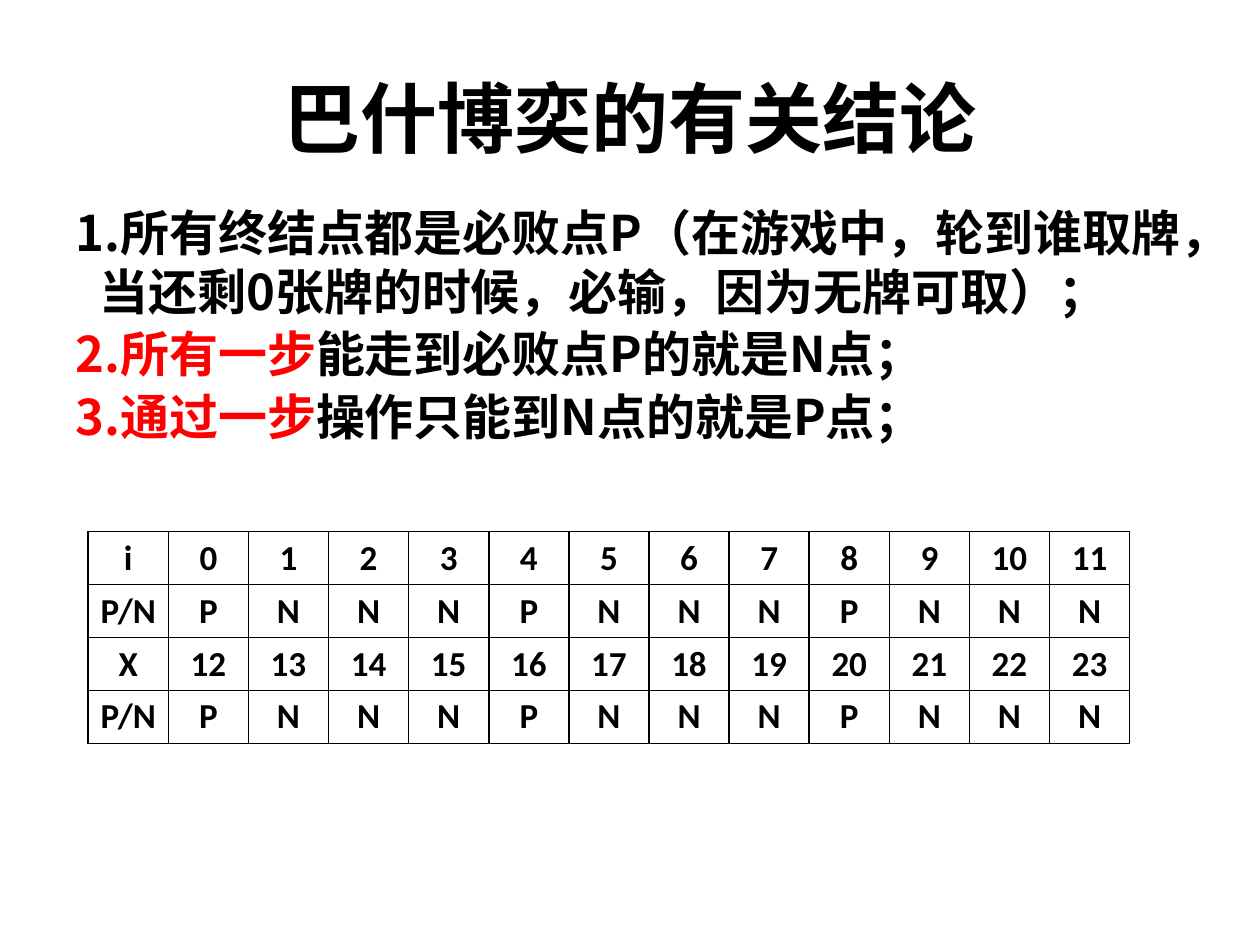
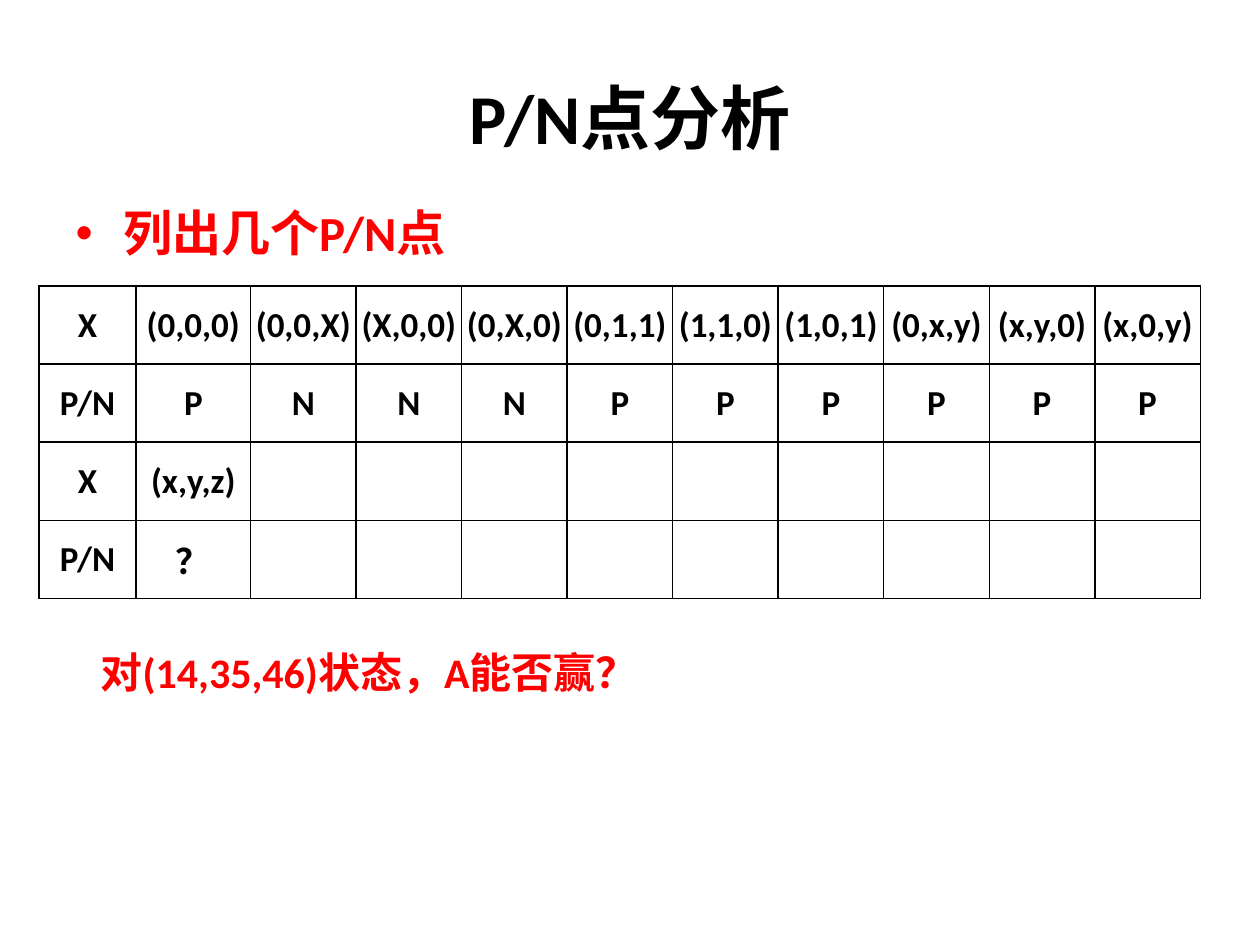
from dataclasses import dataclass
from lxml.etree import SubElement
from pptx import Presentation
from pptx.dml.color import RGBColor as RGB
from pptx.enum.text import MSO_ANCHOR as Anchor, MSO_AUTO_SIZE as Fit, PP_ALIGN as Align
from pptx.oxml import parse_xml
from pptx.oxml.ns import nsdecls, qn
from pptx.util import Inches, Pt


@dataclass(frozen=True)
class Theme:
    """Colours, fonts and type sizes of the deck."""
    ink: RGB = RGB(0, 0, 0)
    red: RGB = RGB(255, 0, 0)
    paper: RGB = RGB(255, 255, 255)
    latin: str = "Calibri"
    han: str = "Noto Sans CJK SC"
    list_size: int = 28
    cell_size: int = 20
    note_size: int = 24


theme = Theme()


def write(par, parts, size, face=theme.latin):
    """Fill a paragraph with bold (text, colour) parts."""
    font = par.font
    font.name, font.size, font.bold = face, Pt(size), True
    font.color.rgb = parts[0][1]
    for text, color in parts:
        run = par.add_run()
        run.text = text
        run.font.color.rgb = color


def add_grid(slide, rows, left, top, widths, height, side):
    """Add a plain table with thin black borders and centred text."""
    frame = slide.shapes.add_table(len(rows), len(widths), Inches(left), Inches(top),
                                   Inches(sum(widths)), Inches(height * len(rows)))
    table = frame.table
    table.first_row = table.horz_banding = False
    for col, width in zip(table.columns, widths):
        col.width = Inches(width)
    for line, texts in zip(table.rows, rows):
        line.height = Inches(height)
        for col, cell in enumerate(line.cells):
            cell.fill.background()
            cell.vertical_anchor = Anchor.MIDDLE
            cell.margin_left = cell.margin_right = Inches(side)
            cell.margin_top = cell.margin_bottom = Inches(0.04)
            props = cell._tc.get_or_add_tcPr()
            for spot, edge in enumerate("LRTB"):
                props.insert(spot, parse_xml(
                    f'<a:ln{edge} {nsdecls("a")} w="12700"><a:solidFill>'
                    f'<a:srgbClr val="{theme.ink}"/></a:solidFill></a:ln{edge}>'))
            if col < len(texts):
                par = cell.text_frame.paragraphs[0]
                par.alignment = Align.CENTER
                write(par, [(texts[col], theme.ink)], theme.cell_size)


deck = Presentation()
deck.slide_width, deck.slide_height = Inches(10), Inches(7.5)

# Both slides: title on top, list below it
slides, bodies = [], []
for title, size, depth in (("巴什博奕的有关结论", 44, 3.05), ("P/N点分析", 40, 5.14)):
    slide = deck.slides.add_slide(deck.slide_layouts[1])
    slide.background.fill.solid()
    slide.background.fill.fore_color.rgb = theme.paper
    head, body = slide.placeholders
    for shape, top, height in ((head, 0.3, 1.25), (body, 1.56, depth)):
        shape.left, shape.top = Inches(0.5), Inches(top)
        shape.width, shape.height = Inches(9), Inches(height)
        shape.text_frame.auto_size = Fit.NONE
    par = head.text_frame.paragraphs[0]
    par.alignment = Align.CENTER
    write(par, [(title, theme.ink)], size)
    slides.append(slide)
    bodies.append(body.text_frame)

# Slide 1: numbered rules
rules = [
    [("所有终结点都是必败点P（在游戏中，轮到谁取牌，当还剩0张牌的时候，必输，因为无牌可取）；", theme.ink)],
    [("所有一步", theme.red), ("能走到必败点P的就是N点；", theme.ink)],
    [("通过一步", theme.red), ("操作只能到N点的就是P点；", theme.ink)],
]
for num, parts in enumerate(rules):
    par = bodies[0].add_paragraph() if num else bodies[0].paragraphs[0]
    if num:
        par.line_spacing = 0.9
    props = par._p.get_or_add_pPr()
    props.set("marL", str(Inches(0.19)))
    props.set("indent", str(Inches(-0.56)))
    SubElement(props, qn("a:buFont"), typeface="+mj-lt")
    SubElement(props, qn("a:buAutoNum"), type="arabicPeriod")
    write(par, parts, theme.list_size, theme.han)

# Slide 1: every fourth position is lost
marks = ["P/N"] + ["N" if num % 4 else "P" for num in range(12)]
rows = [["i", *map(str, range(12))], marks,
        ["X", *map(str, range(12, 24))], marks]
add_grid(slides[0], rows, 0.7, 4.22, [8.27 / 13] * 13, 0.41, 0.08)

# Slide 2: bullet, table of states, question
par = bodies[1].paragraphs[0]
props = par._p.get_or_add_pPr()
props.set("marL", str(Inches(0.38)))
props.set("indent", str(Inches(-0.38)))
write(par, [("列出几个P/N点", theme.red)], theme.list_size)

states = "(0,0,0) (0,0,X) (X,0,0) (0,X,0) (0,1,1) (1,1,0) (1,0,1) (0,x,y) (x,y,0) (x,0,y)"
rows = [["X", *states.split()], ["P/N", *"PNNNPPPPPP"],
        ["X", "(x,y,z)"], ["P/N", "？"]]
add_grid(slides[1], rows, 0.31, 2.27, [0.77, 0.91] + [7.54 / 9] * 9, 0.62, 0.04)

note = slides[1].shapes.add_textbox(Inches(0.7), Inches(5.08), Inches(6.02), Inches(0.5))
note.text_frame.word_wrap = True
note.text_frame.auto_size = Fit.SHAPE_TO_FIT_TEXT
write(note.text_frame.paragraphs[0], [("对(14,35,46)状态，A能否赢？", theme.red)],
      theme.note_size)

deck.save("out.pptx")
